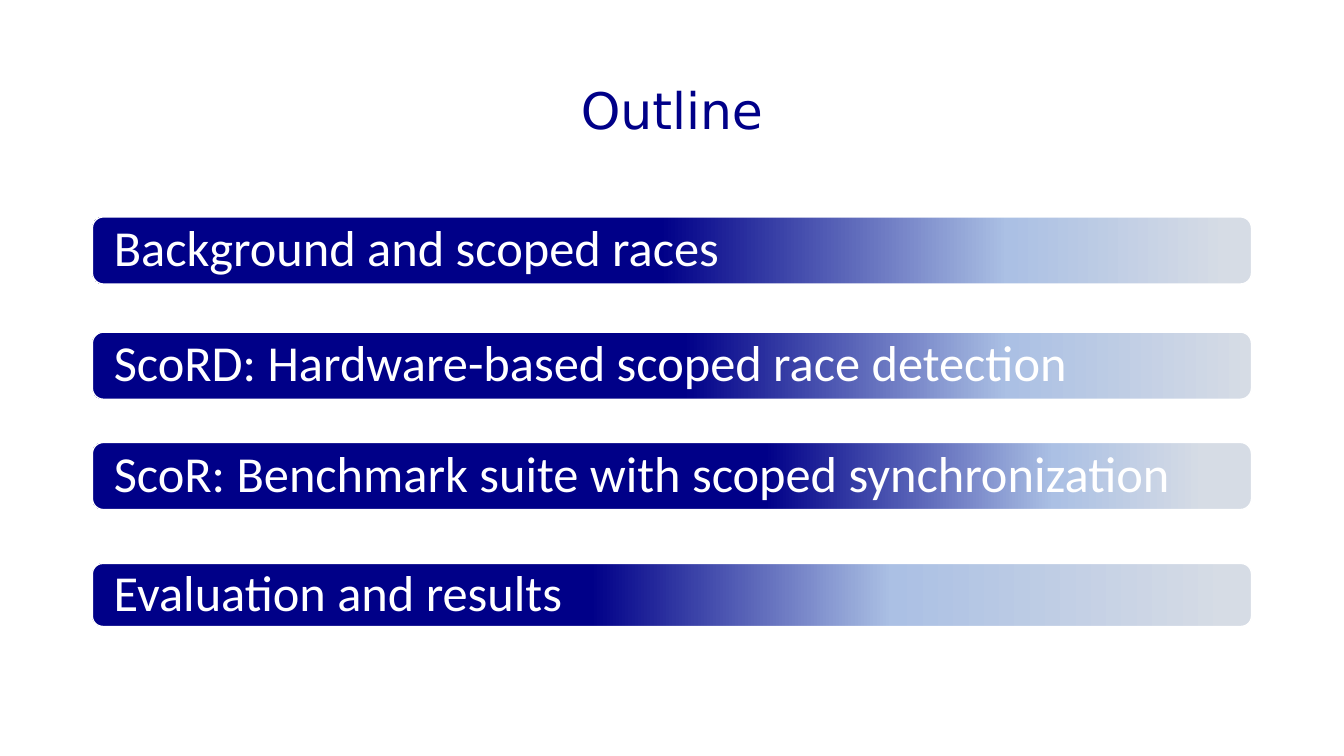
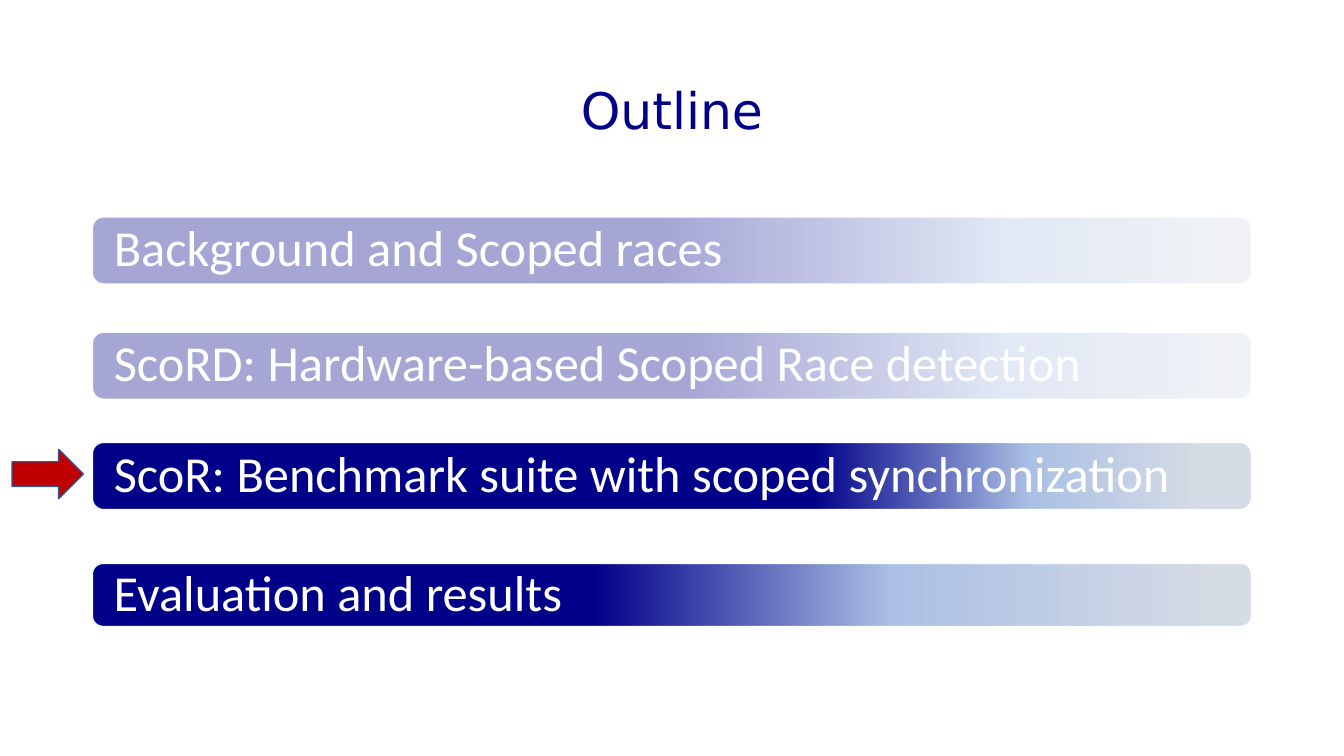
from dataclasses import dataclass

import pptx
import pptx.dml.color
import pptx.enum.shapes
import pptx.enum.text
import pptx.oxml.ns
import pptx.util
from lxml import etree
from pptx.util import Pt

COLORS = {
    "navy": "000088",
    "sky": "ABC0E4",
    "mist": "D6DCE5",
    "white": "FFFFFF",
    "red": "C00000",
    "arrow_line": "325491",
}
TITLE_FONT = "DejaVu Sans"
BODY_FONT = "Calibri"
FONT_SIZE = 36
LEFT, WIDTH = 66, 828
BAR_INSET = 13


@dataclass(frozen=True)
class Bar:
    text: str
    top: float
    height: float
    stops: tuple[int, int, int]  # percent positions of mist, sky and navy


def color(name: str) -> pptx.dml.color.RGBColor:
    return pptx.dml.color.RGBColor.from_string(COLORS[name])


def add_element(parent, tag: str, **attributes: str):
    return etree.SubElement(parent, pptx.oxml.ns.qn(tag), **attributes)


def set_text(shape, text: str, font_name: str, color_name: str, alignment) -> None:
    frame = shape.text_frame
    frame.word_wrap = True
    frame.vertical_anchor = pptx.enum.text.MSO_ANCHOR.MIDDLE
    paragraph = frame.paragraphs[0]
    paragraph.text = text
    paragraph.alignment = alignment
    paragraph.line_spacing = 0.9
    paragraph.font.name = font_name
    paragraph.font.size = Pt(FONT_SIZE)
    paragraph.font.color.rgb = color(color_name)


def add_preset(slide, kind, left: float, top: float, width: float, height: float):
    shape = slide.shapes.add_shape(kind, Pt(left), Pt(top), Pt(width), Pt(height))
    shape.shadow.inherit = False
    return shape


def set_line(shape, color_name: str) -> None:
    shape.line.color.rgb = color(color_name)
    shape.line.width = Pt(1)


def set_gradient(shape, stops: tuple[int, int, int]) -> None:
    shape.fill.gradient()
    shape.fill.gradient_angle = 180
    stop_list = shape._element.spPr.find(".//" + pptx.oxml.ns.qn("a:gsLst"))
    for old_stop in list(stop_list):
        stop_list.remove(old_stop)
    for position, name in zip((*stops, 100), ("mist", "sky", "navy", "navy")):
        stop = add_element(stop_list, "a:gs", pos=str(position * 1000))
        add_element(stop, "a:srgbClr", val=COLORS[name])


def add_bar(slide, bar: Bar) -> None:
    shape = add_preset(slide, pptx.enum.shapes.MSO_SHAPE.ROUNDED_RECTANGLE,
                       LEFT, bar.top, WIDTH, bar.height)
    set_gradient(shape, bar.stops)
    set_line(shape, "white")
    frame = shape.text_frame
    frame.margin_left = frame.margin_right = Pt(BAR_INSET)
    frame.margin_top = frame.margin_bottom = Pt(BAR_INSET)
    set_text(shape, bar.text, BODY_FONT, "white", pptx.enum.text.PP_ALIGN.LEFT)


def add_outline_slide(presentation, bars: list[Bar]):
    slide = presentation.slides.add_slide(presentation.slide_layouts[6])
    title = slide.shapes.add_textbox(Pt(LEFT), Pt(28.8), Pt(WIDTH), Pt(104.4))
    set_text(title, "Outline", TITLE_FONT, "navy", pptx.enum.text.PP_ALIGN.CENTER)
    for bar in bars:
        add_bar(slide, bar)
    return slide


def add_current_arrow(slide) -> None:
    arrow = add_preset(slide, pptx.enum.shapes.MSO_SHAPE.RIGHT_ARROW, 8.6, 321, 51, 35.3)
    arrow.fill.solid()
    arrow.fill.fore_color.rgb = color("red")
    set_line(arrow, "arrow_line")


def add_veil(slide) -> None:
    """Fade the finished topics with a translucent white sheet."""
    veil = add_preset(slide, pptx.enum.shapes.MSO_SHAPE.RECTANGLE, 47.5, 139, 913.7, 167)
    veil.fill.solid()
    veil.fill.fore_color.rgb = color("white")
    veil.line.fill.background()
    fill_color = veil._element.spPr.find(".//" + pptx.oxml.ns.qn("a:srgbClr"))
    add_element(fill_color, "a:alpha", val="65000")


def topic_bars(background: str, detection: str, suite_stops: tuple[int, int, int]) -> list[Bar]:
    return [
        Bar(background, 154.9, 48, (2, 21, 51)),
        Bar(detection, 237.2, 48, (0, 21, 49)),
        Bar("ScoR: Benchmark suite with scoped synchronization", 316, 48, suite_stops),
        Bar("Evaluation and results", 402.5, 45, (2, 31, 57)),
    ]


def main() -> None:
    presentation = pptx.Presentation()
    presentation.slide_width, presentation.slide_height = Pt(960), Pt(540)

    # Slide 1: all topics
    add_outline_slide(presentation, topic_bars(
        "Background and scoped races",
        "ScoRD: Hardware-based scoped race detection", (4, 17, 42)))

    # Slide 2: third topic is current, earlier ones are faded
    progress = add_outline_slide(presentation, topic_bars(
        "Background and Scoped races",
        "ScoRD: Hardware-based Scoped Race detection", (4, 19, 38)))
    add_current_arrow(progress)
    add_veil(progress)

    presentation.save("out.pptx")


if __name__ == "__main__":
    main()
